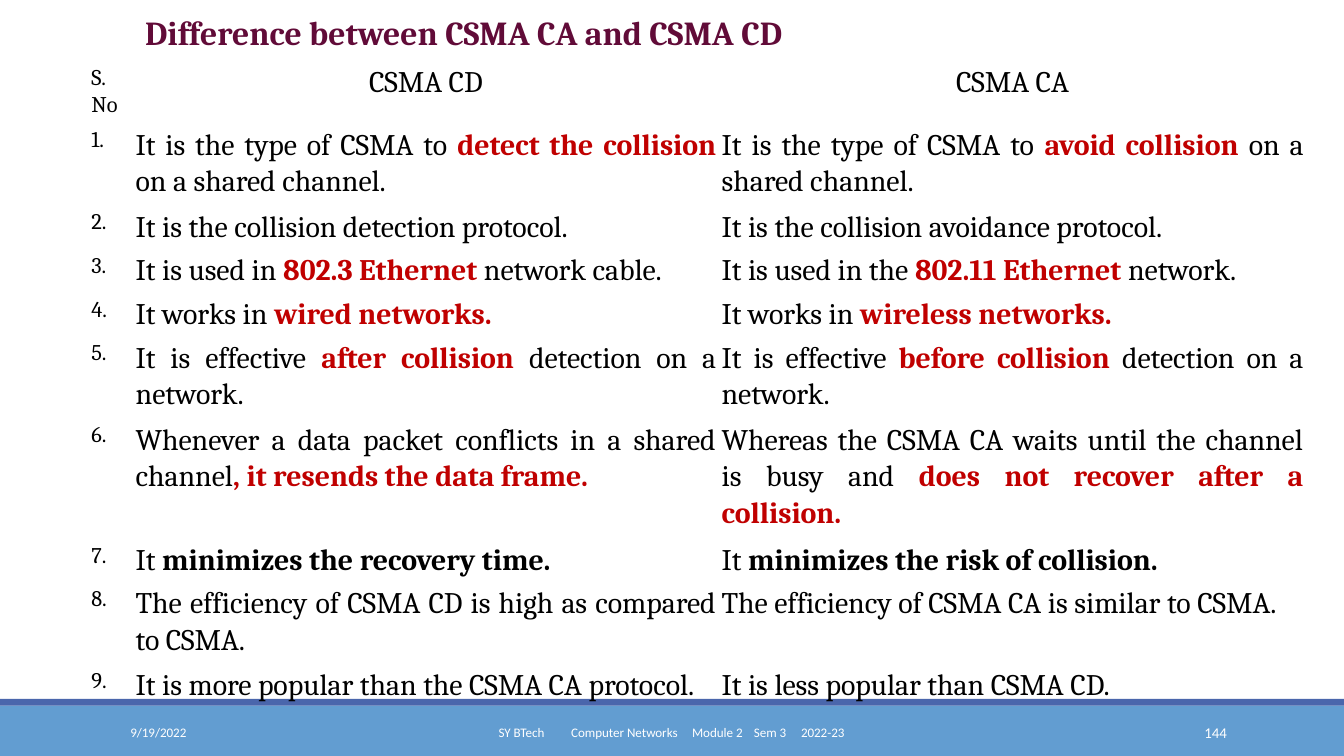
from lxml import etree
from pptx import Presentation
from pptx.dml.color import RGBColor
from pptx.enum import shapes, text
from pptx.oxml.ns import qn
from pptx.util import Inches, Pt

BLACK, RED, WHITE, PLUM = "000000", "C00000", "FFFFFF", "610B38"
LEFT, CENTER = text.PP_ALIGN.LEFT, text.PP_ALIGN.CENTER
RIGHT, JUSTIFY = text.PP_ALIGN.RIGHT, text.PP_ALIGN.JUSTIFY
NO_STYLE = "{2D5ABB26-0587-4C30-8999-92F81FD0307C}"

COLUMNS = [0.33, 4.36, 4.37]
# Each cell is a list of runs: (words, colour, bold)
HEADER = ["S. No", [("CSMA CD", BLACK, False)], [("CSMA CA", BLACK, False)]]
ROWS = [
    (0.59,
     [("It is the type of CSMA to ", BLACK, False),
      ("detect the collision ", RED, True),
      ("on a shared channel.", BLACK, False)],
     [("It is the type of CSMA to ", BLACK, False),
      ("avoid collision ", RED, True),
      ("on a shared channel.", BLACK, False)]),
    (0.32,
     [("It is the collision detection protocol.", BLACK, False)],
     [("It is the collision avoidance protocol.", BLACK, False)]),
    (0.32,
     [("It is used in ", BLACK, False), ("802.3 Ethernet", RED, True),
      (" network cable.", BLACK, False)],
     [("It is used in the ", BLACK, False), ("802.11 Ethernet ", RED, True),
      ("network.", BLACK, False)]),
    (0.32,
     [("It works in ", BLACK, False), ("wired networks.", RED, True)],
     [("It works in ", BLACK, False), ("wireless networks.", RED, True)]),
    (0.59,
     [("It is effective ", BLACK, False), ("after collision ", RED, True),
      ("detection on a network.", BLACK, False)],
     [("It is effective ", BLACK, False), ("before collision ", RED, True),
      ("detection on a network.", BLACK, False)]),
    (0.59,
     [("Whenever a data packet conflicts in a shared channel", BLACK, False),
      (", it resends the data frame.", RED, True)],
     [("Whereas the CSMA CA waits until the channel is busy and ", BLACK, False),
      ("does not recover after a collision.", RED, True)]),
    (0.32,
     [("It ", BLACK, False), ("minimizes the recovery time.", BLACK, True)],
     [("It ", BLACK, False), ("minimizes the risk of collision.", BLACK, True)]),
    (0.59,
     [("The efficiency of CSMA CD is high as compared to CSMA.", BLACK, False)],
     [("The efficiency of CSMA CA is similar to CSMA.", BLACK, False)]),
    (0.55,
     [("It is more popular than the CSMA CA protocol.", BLACK, False)],
     [("It is less popular than CSMA CD.", BLACK, False)]),
]
COURSE = ["SY BTech", "Computer Networks", "Module 2", "Sem 3", "2022-23"]
COURSE_TABS = [0.54, 1.44, 1.9, 2.25]


def rgb(value):
    return RGBColor.from_string(value)


def add_run(p, words, size, font, color, bold=False):
    r = p.add_run()
    r.text = words
    r.font.size = Pt(size)
    r.font.name = font
    r.font.bold = bold
    r.font.color.rgb = rgb(color)


def set_margins(target, left, top, right, bottom):
    target.margin_left, target.margin_top = Inches(left), Inches(top)
    target.margin_right, target.margin_bottom = Inches(right), Inches(bottom)


def add_title(s, x, y, w, h):
    sp = s.shapes.title
    sp.left, sp.top, sp.width, sp.height = map(Inches, (x, y, w, h))
    tf = sp.text_frame
    tf.word_wrap = True
    tf.auto_size = text.MSO_AUTO_SIZE.NONE
    tf.vertical_anchor = text.MSO_ANCHOR.TOP
    set_margins(tf, 0.1, 0.05, 0.1, 0.05)
    p = tf.paragraphs[0]
    p.alignment = JUSTIFY
    add_run(p, "Difference between CSMA CA and CSMA CD", 18, "Cambria", PLUM, True)


def fill_cell(cell, runs, size, align):
    cell.fill.background()
    set_margins(cell, 0.02, 0.02, 0.02, 0.02)
    p = cell.text_frame.paragraphs[0]
    p.alignment = align
    p.line_spacing = 1.07
    for words, color, bold in runs:
        add_run(p, words, size, "Cambria", color, bold)


def add_comparison(s, x, y, w, h):
    heights = [0.46] + [row[0] for row in ROWS]
    frame = s.shapes.add_table(len(heights), len(COLUMNS),
                               *map(Inches, (x, y, w, h)))
    table = frame.table
    table.first_row = table.horz_banding = False
    table._tbl.tblPr.find(qn("a:tableStyleId")).text = NO_STYLE
    for column, width in zip(table.columns, COLUMNS):
        column.width = Inches(width)
    for row, height in zip(table.rows, heights):
        row.height = Inches(height)
    # The rows grow with their text, so the frame keeps its own size
    frame.width, frame.height = Inches(w), Inches(h)

    lines = [HEADER] + [(f"{n}.", cd, ca) for n, (_, cd, ca) in enumerate(ROWS, 1)]
    for i, (number, *sides) in enumerate(lines):
        fill_cell(table.cell(i, 0), [(number, BLACK, False)], 12, JUSTIFY)
        for j, runs in enumerate(sides, 1):
            fill_cell(table.cell(i, j), runs, 16, JUSTIFY if i else CENTER)


def add_band(s, x, y, w, h, color):
    sp = s.shapes.add_shape(shapes.MSO_SHAPE.RECTANGLE, *map(Inches, (x, y, w, h)))
    sp.shadow.inherit = False
    sp.fill.solid()
    sp.fill.fore_color.rgb = rgb(color)
    sp.line.fill.background()


def add_footer_text(s, x, y, w, words, size, align, inset=0.07, tabs=()):
    sp = s.shapes.add_textbox(*map(Inches, (x, y, w, 0.3)))
    tf = sp.text_frame
    tf.word_wrap = True
    tf.vertical_anchor = text.MSO_ANCHOR.MIDDLE
    set_margins(tf, inset, 0.04, 0.07, 0.04)
    p = tf.paragraphs[0]
    p.alignment = align
    if tabs:
        tab_list = etree.SubElement(p._p.get_or_add_pPr(), qn("a:tabLst"))
        for pos in tabs:
            etree.SubElement(tab_list, qn("a:tab"), pos=str(Inches(pos)), algn="l")
    add_run(p, words, size, "Calibri", WHITE)


def add_footer(s, x, y, w):
    # Coloured bands
    add_band(s, x, y + 0.05, w, 0.38, "629DD1")
    add_band(s, x, y, w, 0.05, "4A66AC")
    # Date, course line and slide number
    add_footer_text(s, x + 0.9, y + 0.1, 2.03, "9/19/2022", 7, LEFT)
    add_footer_text(s, x + 3.02, y + 0.1, 3.96, "\t".join(COURSE), 7, LEFT,
                    inset=0.69, tabs=COURSE_TABS)
    add_footer_text(s, x + 8.12, y + 0.1, 1.08, "144", 8, RIGHT)


def main():
    prs = Presentation()
    # Widescreen, 16:9
    prs.slide_width, prs.slide_height = Inches(10), Inches(10 * 9 / 16)
    s = prs.slides.add_slide(prs.slide_layouts[5])
    add_footer(s, 0, 5.2, 10)
    add_comparison(s, 0.66, 0.45, 3.28, 3.28)
    add_title(s, 0.98, 0.04, 5.21, 0.4)
    prs.save("out.pptx")


if __name__ == "__main__":
    main()
